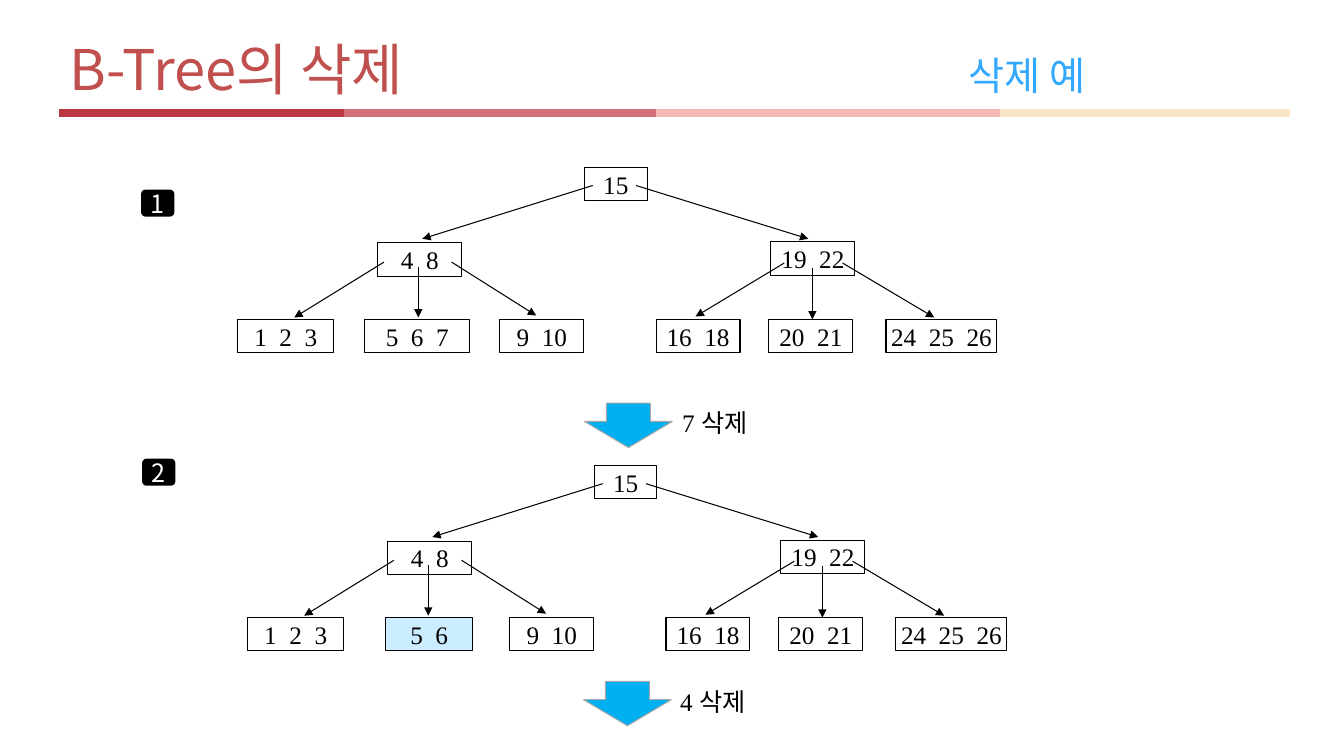
"""Build a slide showing two stages of deleting keys from a B-Tree."""
import pptx
import pptx.util
import pptx.dml.color
import pptx.enum.shapes
import pptx.enum.text
import pptx.oxml.ns
import lxml.etree

Pt = pptx.util.Pt
SHAPE = pptx.enum.shapes.MSO_SHAPE
ALIGN = pptx.enum.text.PP_ALIGN
ANCHOR = pptx.enum.text.MSO_ANCHOR
qn = pptx.oxml.ns.qn

HANGUL, SERIF = "Noto Sans CJK KR", "Times New Roman"
COLORS = {
    "black": "000000", "white": "FFFFFF", "title": "C0504D", "topic": "33A8FF",
    "changed": "CCECFF", "arrow": "00B0F0", "arrow_edge": "A6A6A6",
}
TITLE, TOPIC = "B-Tree의 삭제", "삭제 예"
TOPIC_TAB = 642
BAR_Y = 80.6
BAR_EDGES = [42.5, 245.5, 468.7, 714.2, 921.6]
BAR_COLORS = ["B93945", "D37079", "F2B8B4", "F8E6C7"]

NODE_HEIGHT = 23.8
BRANCHES = [
    ("15", 439.9, 119.5, 44.6),
    ("4  8", 299.9, 173.5, 60),
    ("19  22", 580.7, 172.8, 60),
]
LEAF_TOP = 228.2
LEAVES = [
    ("1  2  3", 204.1, 68.4),
    ("5  6  7", 298.1, 74.9),
    ("9  10", 387, 60),
    ("16  18", 498.6, 60),
    ("20  21", 579.2, 60),
    ("24  25  26", 672.5, 79.2),
]
CHANGED_LEAF = ("5  6", 299.5, 61.9)
LINKS = [
    (423.4, 132.5, 301.7, 170.6), (454.3, 132.5, 577.4, 170.6),
    (274.3, 187.2, 210.2, 226.8), (298.8, 190.8, 298.8, 226.8),
    (322.6, 187.2, 383, 225.4), (560.2, 187.9, 496.8, 226.1),
    (580.3, 191.5, 580.3, 228.2), (601.9, 187.9, 667.4, 226.8),
]
STAGES = [
    {"number": "1", "shift": (0, 0), "badge": (100.8, 135.4),
     "arrow": (417.6, 288), "label": (480.2, 287.3), "deleted": "7 ", "changed": {}},
    {"number": "2", "shift": (7.1, 213), "badge": (101.5, 327.6),
     "arrow": (416.9, 486.7), "label": (478.8, 486.7), "deleted": "4 ",
     "changed": {1: CHANGED_LEAF}},
]


def rgb(value):
    return pptx.dml.color.RGBColor.from_string(value)


def write(para, text, size=18, font=SERIF, color="black"):
    span = para.add_run()
    span.text = text
    span.font.size = Pt(size)
    span.font.color.rgb = rgb(COLORS[color])
    span.font.name = font
    lxml.etree.SubElement(span.font._element, qn("a:ea"), typeface=font)


def set_frame(frame, wrap=False, margin=0, anchor=ANCHOR.MIDDLE):
    frame.word_wrap = wrap
    frame.vertical_anchor = anchor
    frame.margin_left = frame.margin_right = Pt(margin)
    frame.margin_top = frame.margin_bottom = Pt(margin / 2)
    return frame.paragraphs[0]


def add_box(page, kind, left, top, width, height, fill=None, edge=None):
    box = page.shapes.add_shape(kind, Pt(left), Pt(top), Pt(width), Pt(height))
    box.shadow.inherit = False
    if fill:
        box.fill.solid()
        box.fill.fore_color.rgb = rgb(COLORS[fill])
    else:
        box.fill.background()
    if edge:
        box.line.color.rgb = rgb(COLORS[edge])
        box.line.width = Pt(0.75)
    else:
        box.line.fill.background()
    para = set_frame(box.text_frame)
    para.alignment = ALIGN.CENTER
    return box, para


def add_line(page, x1, y1, x2, y2, color, width, head=False):
    line = page.shapes.add_connector(
        pptx.enum.shapes.MSO_CONNECTOR.STRAIGHT, Pt(x1), Pt(y1), Pt(x2), Pt(y2))
    line.line.color.rgb = rgb(color)
    line.line.width = Pt(width)
    if head:
        lxml.etree.SubElement(line.line._get_or_add_ln(), qn("a:tailEnd"), type="triangle")
    lxml.etree.SubElement(line._element.spPr, qn("a:effectLst"))


def add_title(page):
    title = page.shapes.title
    title.left, title.top, title.width, title.height = Pt(42.5), Pt(23), Pt(876.2), Pt(56.9)
    para = set_frame(title.text_frame, wrap=True, margin=7.2)
    title.text_frame.auto_size = pptx.enum.text.MSO_AUTO_SIZE.NONE
    para.alignment = ALIGN.LEFT
    para.line_spacing = 0.9
    tabs = lxml.etree.SubElement(para._p.get_or_add_pPr(), qn("a:tabLst"))
    lxml.etree.SubElement(tabs, qn("a:tab"), pos=str(int(Pt(TOPIC_TAB))), algn="l")
    write(para, TITLE + "\t", size=40, font=HANGUL, color="title")
    write(para, TOPIC, size=28, font=HANGUL, color="topic")


def add_tree(page, shift, changed):
    dx, dy = shift
    nodes = [(*branch, None) for branch in BRANCHES]
    for index, leaf in enumerate(LEAVES):
        text, center, width = changed.get(index, leaf)
        nodes.append((text, center, LEAF_TOP, width, "changed" if index in changed else None))
    for text, center, top, width, fill in nodes:
        box, para = add_box(page, SHAPE.RECTANGLE, center - width / 2 + dx, top + dy,
                            width, NODE_HEIGHT, fill=fill, edge="black")
        write(para, text)
    for x1, y1, x2, y2 in LINKS:
        add_line(page, x1 + dx, y1 + dy, x2 + dx, y2 + dy, COLORS["black"], 0.75, head=True)


def add_stage(page, stage):
    add_tree(page, stage["shift"], stage["changed"])
    badge, para = add_box(page, SHAPE.ROUNDED_RECTANGLE, *stage["badge"], 23.8, 19.4, fill="black")
    write(para, stage["number"], font=HANGUL, color="white")
    arrow, para = add_box(page, SHAPE.DOWN_ARROW, *stage["arrow"], 62.6, 31.7,
                          fill="arrow", edge="arrow_edge")
    arrow.adjustments[0], arrow.adjustments[1] = 0.5, 0.586
    left, top = stage["label"]
    label = page.shapes.add_textbox(Pt(left), Pt(top), Pt(65.5), Pt(28.8))
    para = set_frame(label.text_frame, margin=7.2, anchor=ANCHOR.TOP)
    write(para, stage["deleted"])
    write(para, "삭제", font=HANGUL)


def main():
    deck = pptx.Presentation()
    deck.slide_width, deck.slide_height = Pt(960), Pt(540)
    page = deck.slides.add_slide(deck.slide_layouts[5])
    add_title(page)
    for left, right, color in zip(BAR_EDGES, BAR_EDGES[1:], BAR_COLORS):
        add_line(page, left, BAR_Y, right, BAR_Y, color, 6)
    for stage in STAGES:
        add_stage(page, stage)
    deck.save("out.pptx")


if __name__ == "__main__":
    main()
